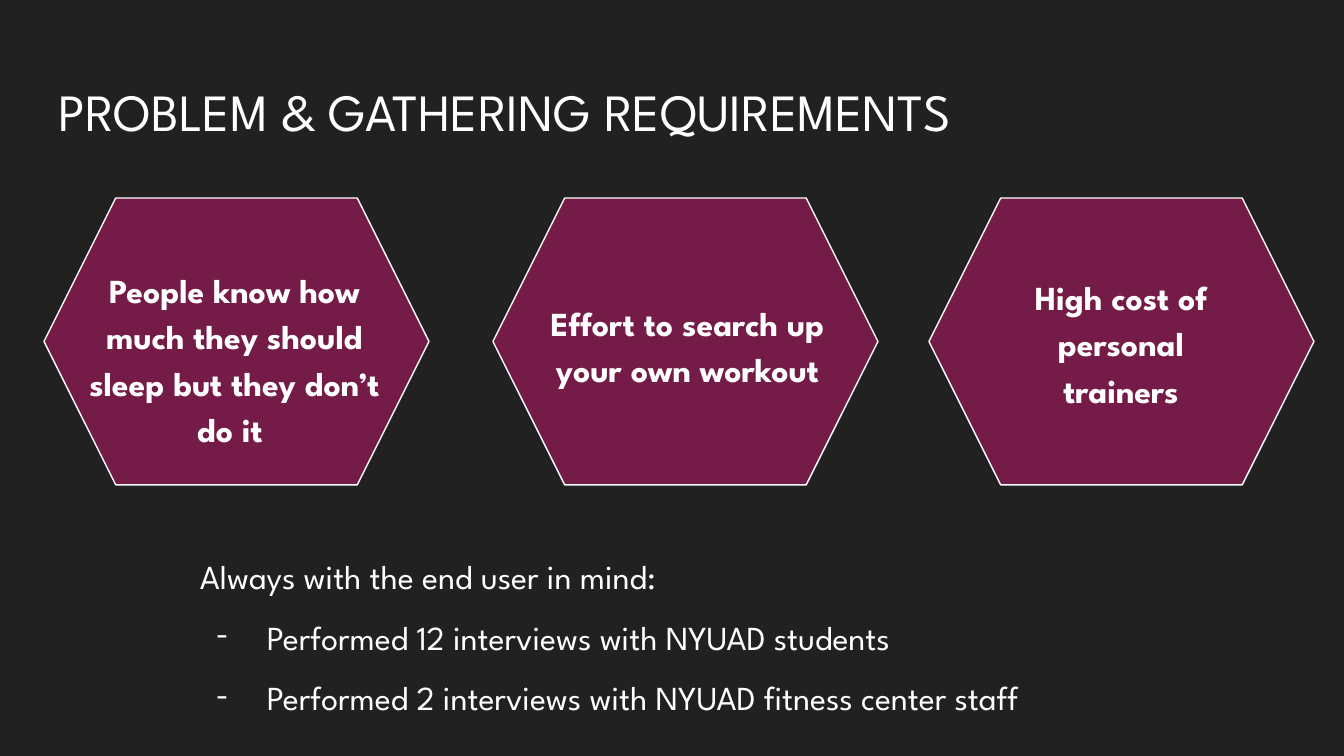
from dataclasses import dataclass

from lxml import etree
from pptx import Presentation
from pptx.dml.color import RGBColor
from pptx.enum.shapes import MSO_SHAPE
from pptx.enum.text import MSO_ANCHOR, MSO_AUTO_SIZE, PP_ALIGN
from pptx.oxml.ns import qn
from pptx.util import Emu, Pt

HEXAGON = MSO_SHAPE.HEXAGON
TOP = MSO_ANCHOR.TOP
NO_AUTOFIT = MSO_AUTO_SIZE.NONE
LEFT, CENTER = PP_ALIGN.LEFT, PP_ALIGN.CENTER

EMU_PER_PX = 914400 / 134.4
FONT = "League Spartan"
COLORS = {"background": "212121", "text": "FFFFFF", "hexagon": "741B47"}
INSET = 13
INDENT = 67
HANGING = -51
HEX_TOP, HEX_WIDTH, HEX_HEIGHT = 198, 385, 287


@dataclass
class Box:
    left: int
    top: int
    width: int
    height: int


@dataclass
class Problem:
    text: str
    hex_left: int
    box: Box
    indent: int = 0


PROBLEMS = [
    Problem("People know how much they should sleep but they don’t do it ",
            44, Box(9, 251, 384, 271), INDENT),
    Problem("Effort to search up your own workout",
            493, Box(462, 284, 384, 207), INDENT),
    Problem("High cost of personal trainers", 929, Box(1007, 258, 228, 185)),
]
RESEARCH_HEADING = "Always with the end user in mind:"
RESEARCH_ITEMS = [
    "Performed 12 interviews with NYUAD students",
    "Performed 2 interviews with NYUAD fitness center staff",
]


def px(length: int) -> Emu:
    return Emu(round(length * EMU_PER_PX))


def color(name: str) -> RGBColor:
    return RGBColor.from_string(COLORS[name])


def place(box: Box) -> tuple:
    return px(box.left), px(box.top), px(box.width), px(box.height)


def prepare_frame(frame) -> None:
    frame.word_wrap = True
    frame.auto_size = NO_AUTOFIT
    frame.vertical_anchor = TOP
    frame.margin_left = frame.margin_right = px(INSET)
    frame.margin_top = frame.margin_bottom = px(INSET)


def add_text_frame(slide, box: Box):
    frame = slide.shapes.add_textbox(*place(box)).text_frame
    prepare_frame(frame)
    return frame


def set_indent(paragraph, left: int, first: int = 0) -> None:
    properties = paragraph._p.get_or_add_pPr()
    properties.set("marL", str(px(left)))
    properties.set("indent", str(px(first)))


def add_dash(paragraph) -> None:
    properties = paragraph._p.get_or_add_pPr()
    bullet_color = etree.SubElement(properties, qn("a:buClr"))
    etree.SubElement(bullet_color, qn("a:srgbClr"), val=COLORS["text"])
    etree.SubElement(properties, qn("a:buFont"), typeface=FONT)
    etree.SubElement(properties, qn("a:buChar"), char="-")


def write(paragraph, text: str, size: int, align=LEFT,
          spacing: float = 1.0, bold: bool = False) -> None:
    paragraph.text = text
    paragraph.alignment = align
    paragraph.line_spacing = spacing
    font = paragraph.font
    font.name = FONT
    font.size = Pt(size)
    font.bold = bold
    font.color.rgb = color("text")


def add_problem(slide, problem: Problem) -> None:
    hexagon = slide.shapes.add_shape(
        HEXAGON, *place(Box(problem.hex_left, HEX_TOP, HEX_WIDTH, HEX_HEIGHT)))
    hexagon.shadow.inherit = False
    hexagon.fill.solid()
    hexagon.fill.fore_color.rgb = color("hexagon")
    hexagon.line.color.rgb = color("text")
    hexagon.line.width = Pt(0.75)

    paragraph = add_text_frame(slide, problem.box).paragraphs[0]
    set_indent(paragraph, problem.indent)
    write(paragraph, problem.text, 18, CENTER, 1.15, bold=True)


def add_research(slide, box: Box) -> None:
    frame = add_text_frame(slide, box)
    write(frame.paragraphs[0], RESEARCH_HEADING, 18, spacing=1.5)
    for item in RESEARCH_ITEMS:
        paragraph = frame.add_paragraph()
        set_indent(paragraph, INDENT, HANGING)
        add_dash(paragraph)
        write(paragraph, item, 18, spacing=1.5)


def main() -> None:
    deck = Presentation()
    deck.slide_width, deck.slide_height = px(1344), px(756)
    slide = deck.slides.add_slide(deck.slide_layouts[5])
    slide.background.fill.solid()
    slide.background.fill.fore_color.rgb = color("background")

    # Title
    title = slide.shapes.title
    title.left, title.top, title.width, title.height = place(Box(46, 66, 1253, 85))
    prepare_frame(title.text_frame)
    write(title.text_frame.paragraphs[0], "PROBLEM & GATHERING REQUIREMENTS", 28)

    # Problem hexagons
    for problem in PROBLEMS:
        add_problem(slide, problem)

    # User research
    add_research(slide, Box(187, 523, 997, 103))

    deck.save("out.pptx")


if __name__ == "__main__":
    main()
